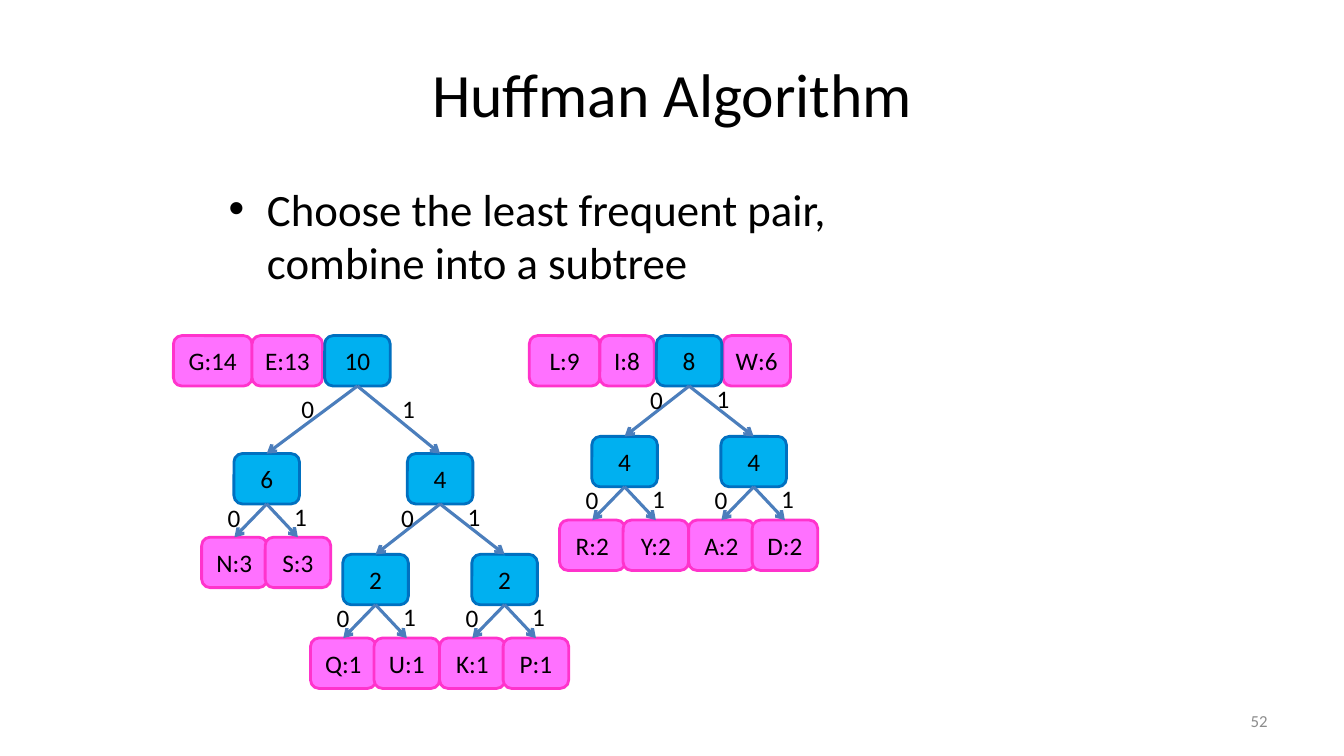
from dataclasses import dataclass
from typing import Any

from lxml.etree import SubElement
from pptx import Presentation
from pptx.dml.color import RGBColor
from pptx.enum.shapes import MSO_CONNECTOR, MSO_SHAPE
from pptx.enum.text import MSO_ANCHOR, MSO_AUTO_SIZE, PP_ALIGN
from pptx.oxml.ns import qn
from pptx.util import Inches, Pt

BLACK, GREY, EDGE = "000000", "8C8C8C", "4B7EBC"
LEAF_FILL, LEAF_LINE = "FF71FF", "FF33CC"
INNER_FILL, INNER_LINE = "00B0F0", "0070C0"
ROW_TOP, NODE_HEIGHT = 3.33, 0.5


@dataclass(frozen=True)
class Fork:
    """Offsets of children and bit labels from their parent's left edge and top."""
    shifts: tuple[float, float]
    drop: float
    bit_shifts: tuple[float, float] = (-0.16, 0.5)
    bit_drops: tuple[float, float] = (0.43, 0.42)


LEAF_FORK = Fork((-0.32, 0.31), 0.83)
INNER_FORK = Fork((-0.64, 0.64), 1.0)
WIDE_FORK = Fork((-0.9, 0.82), 1.17, (-0.33, 0.67), (0.52, 0.52))


@dataclass(frozen=True)
class Node:
    label: str
    children: tuple["Node", ...] = ()
    fork: Fork = LEAF_FORK
    width: float = 0.65


@dataclass(frozen=True)
class Root:
    left: float
    node: Node


def pair(weight: str, zero: str, one: str) -> Node:
    return Node(weight, (Node(zero), Node(one)))


ROOTS = [
    Root(1.72, Node("G:14", width=0.78)),
    Root(2.5, Node("E:13", width=0.7)),
    Root(5.25, Node("L:9", width=0.7)),
    Root(5.95, Node("I:8", width=0.54)),
    Root(7.17, Node("W:6", width=0.67)),
    Root(6.51, Node("8", (pair("4", "R:2", "Y:2"), pair("4", "A:2", "D:2")), INNER_FORK)),
    Root(3.22, Node("10", (
        pair("6", "N:3", "S:3"),
        Node("4", (pair("2", "Q:1", "U:1"), pair("2", "K:1", "P:1")), INNER_FORK),
    ), WIDE_FORK)),
]


def rgb(color: str) -> RGBColor:
    return RGBColor.from_string(color)


def apply(target: Any, formats: dict[str, Any]) -> None:
    for name, value in formats.items():
        setattr(target, name, value)


def write(shape: Any, text: str, size: float, color: str = BLACK,
          frame_format: dict[str, Any] | None = None,
          paragraph_format: dict[str, Any] | None = None) -> Any:
    """Fill the shape with one formatted paragraph and return that paragraph."""
    apply(shape.text_frame, {"word_wrap": True} | (frame_format or {}))
    paragraph = shape.text_frame.paragraphs[0]
    apply(paragraph, paragraph_format or {})
    run = paragraph.add_run()
    run.text = text
    apply(run.font, {"name": "Calibri", "size": Pt(size)})
    run.font.color.rgb = rgb(color)
    return paragraph


def add_text(shapes: Any, left: float, top: float, width: float, height: float,
             text: str, size: float, **formats: Any) -> Any:
    box = shapes.add_textbox(Inches(left), Inches(top), Inches(width), Inches(height))
    return write(box, text, size, **formats)


def add_bullet(paragraph: Any, indent: float) -> None:
    properties = paragraph._p.get_or_add_pPr()
    properties.set("marL", str(Inches(indent)))
    properties.set("indent", str(-Inches(indent)))
    SubElement(properties, qn("a:buFont"), typeface="Arial")
    SubElement(properties, qn("a:buChar"), char="•")


def add_node(shapes: Any, node: Node, left: float, top: float) -> Any:
    fill, line = (INNER_FILL, INNER_LINE) if node.children else (LEAF_FILL, LEAF_LINE)
    box = shapes.add_shape(MSO_SHAPE.ROUNDED_RECTANGLE, Inches(left), Inches(top),
                           Inches(node.width), Inches(NODE_HEIGHT))
    box.shadow.inherit = False
    box.fill.solid()
    box.fill.fore_color.rgb = rgb(fill)
    box.line.color.rgb = rgb(line)
    box.line.width = Pt(2)
    write(box, node.label, 18, frame_format={"vertical_anchor": MSO_ANCHOR.MIDDLE},
          paragraph_format={"alignment": PP_ALIGN.CENTER})
    return box


def add_edge(shapes: Any, parent: Any, child: Any) -> None:
    edge = shapes.add_connector(MSO_CONNECTOR.STRAIGHT, 0, 0, 0, 0)
    edge.begin_connect(parent, 2)
    edge.end_connect(child, 0)
    edge.line.color.rgb = rgb(EDGE)
    edge.line.width = Pt(2.25)
    SubElement(edge.line._get_or_add_ln(), qn("a:tailEnd"), type="arrow")
    SubElement(edge._element.spPr, qn("a:effectLst"))


def add_tree(shapes: Any, node: Node, left: float, top: float) -> Any:
    """Draw the node with everything below it and return the node's box."""
    fork = node.fork
    child_boxes = [add_tree(shapes, child, left + shift, top + fork.drop)
                   for child, shift in zip(node.children, fork.shifts)]
    box = add_node(shapes, node, left, top)
    for bit, child_box in enumerate(child_boxes):
        add_edge(shapes, box, child_box)
        add_text(shapes, left + fork.bit_shifts[bit], top + fork.bit_drops[bit],
                 0.33, 0.4, str(bit), 18,
                 frame_format={"word_wrap": False,
                               "auto_size": MSO_AUTO_SIZE.SHAPE_TO_FIT_TEXT})
    return box


def main() -> None:
    presentation = Presentation()
    apply(presentation, {"slide_width": Inches(13.33), "slide_height": Inches(7.5)})
    shapes = presentation.slides.add_slide(presentation.slide_layouts[6]).shapes
    middle = {"vertical_anchor": MSO_ANCHOR.MIDDLE}

    add_text(shapes, 0.67, 0.3, 12, 1.25, "Huffman Algorithm", 44,
             frame_format=middle, paragraph_format={"alignment": PP_ALIGN.CENTER})
    step = add_text(shapes, 2.17, 1.75, 7.4, 1.25,
                    "Choose the least frequent pair, combine into a subtree", 32,
                    paragraph_format={"space_before": Pt(6.4)})
    add_bullet(step, 0.38)
    add_text(shapes, 9.56, 6.95, 3.11, 0.4, "52", 12, color=GREY,
             frame_format=middle, paragraph_format={"alignment": PP_ALIGN.RIGHT})

    for root in ROOTS:
        add_tree(shapes, root.node, root.left, ROW_TOP)
    presentation.save("out.pptx")


if __name__ == "__main__":
    main()
